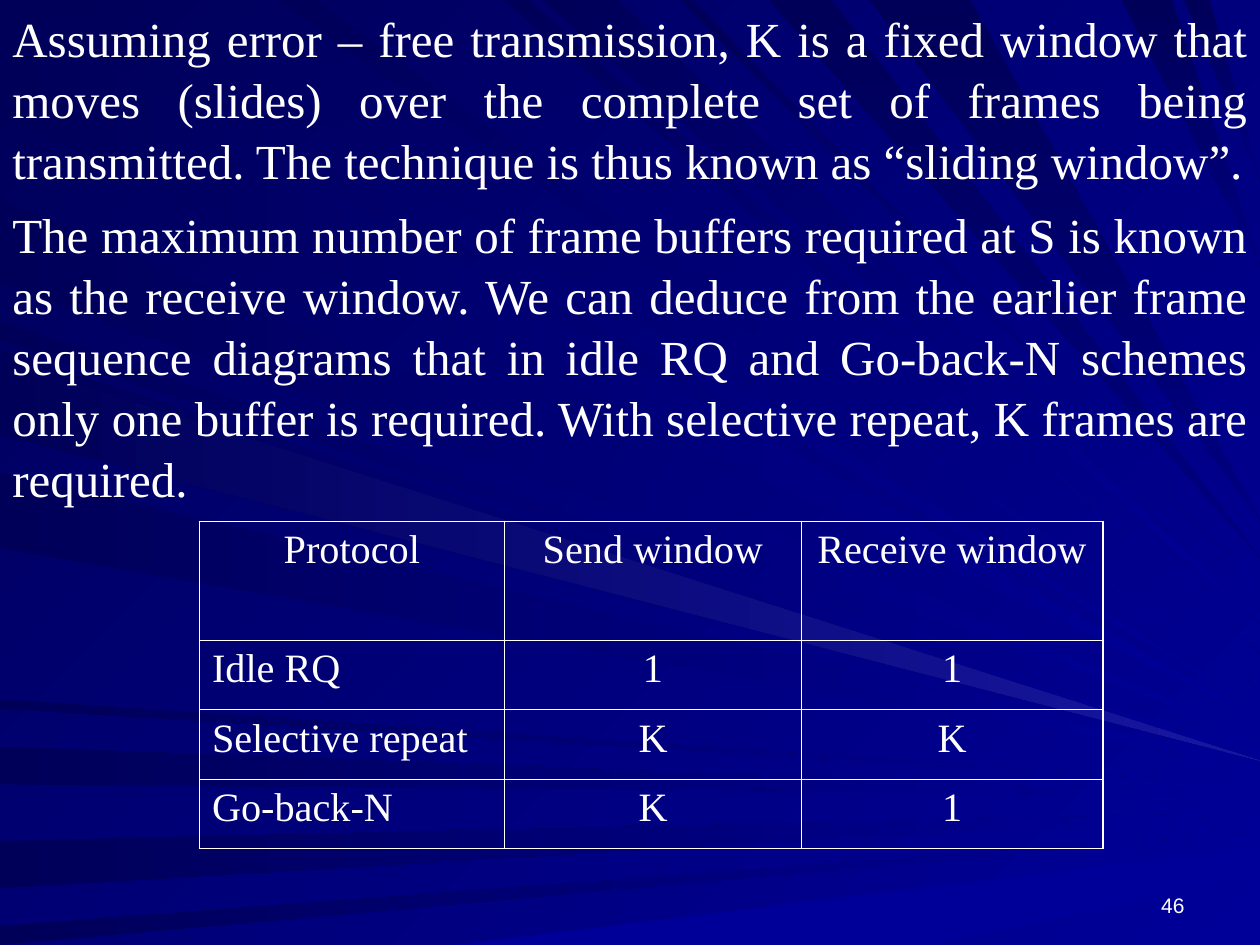
from lxml import etree
from pptx import Presentation
from pptx.dml.color import RGBColor
from pptx.enum.text import MSO_ANCHOR as Anchor, PP_ALIGN as Align
from pptx.oxml.ns import qn
from pptx.util import Cm, Pt

WHITE = RGBColor(0xFF, 0xFF, 0xFF)
NIGHT = RGBColor(0x00, 0x00, 0x58)
NAVY = RGBColor(0x00, 0x00, 0x80)
ROYAL = RGBColor(0x00, 0x00, 0x99)
GLEAM = RGBColor(0x17, 0x17, 0xA2)

SERIF = "Times New Roman"

# Each ray: where it starts and ends on its edge, and the height of its tip
# on the right edge, all as percentages of the slide's width or height.
LEFT_RAYS = [
    (0, 12, 76), (79, 83, 84), (89, 94, 86), (98, 100, 88), (34, 36, 79),
    (21, 30, 78), (37, 46, 80), (50, 58, 81), (74, 75, 83),
]
TOP_RAYS = [(3, 10, 75), (22, 25, 73), (40, 42, 69), (43, 49, 66), (54, 55, 62)]
CORNER_RAYS = [(61, 66, 59), (69, 77, 55), (89, 93, 28), (94, 96, 19)]
GLEAMING_RAYS = [(38, 46, 80.5)]
FLOOR_RAY = [(36, 100), (74, 100), (100, 92.5), (100, 89.6)]

PARAGRAPHS = [
    "Assuming error – free transmission, K is a fixed window that moves (slides) over the "
    "complete set of frames being transmitted. The technique is thus known as “sliding window”.",
    "The maximum number of frame buffers required at S is known as the receive window. We can "
    "deduce from the earlier frame sequence diagrams that in idle RQ and Go-back-N schemes only "
    "one buffer is required. With selective repeat, K frames are required.",
]
PROTOCOLS = [
    ("Protocol", "Send window", "Receive window"),
    ("Idle RQ", "1", "1"),
    ("Selective repeat", "K", "K"),
    ("Go-back-N", "K", "1"),
]


def write(paragraph, text, name, size, alignment):
    paragraph.text = text
    paragraph.alignment = alignment
    for attribute, value in {"name": name, "size": Pt(size)}.items():
        setattr(paragraph.font, attribute, value)
    paragraph.font.color.rgb = WHITE


def fill_gradient(fill, start, end, angle):
    """Fill from start to end; the angle runs clockwise."""
    fill.gradient()
    fill.gradient_angle = -angle % 360
    for stop, colour in zip(fill.gradient_stops, (start, end)):
        stop.color.rgb = colour


def add_ray(slide, corners, width, height, colours, angle):
    """Draw a polygon whose corners are percentages of the given box."""
    points = [(round(width * x / 100), round(height * y / 100)) for x, y in corners]
    builder = slide.shapes.build_freeform(*points[0])
    builder.add_line_segments(points[1:], close=True)
    ray = builder.convert_to_shape()
    ray.shadow.inherit = False
    ray.line.fill.background()
    fill_gradient(ray.fill, *colours, angle)


def add_background(slide, width, height):
    fill_gradient(slide.background.fill, NIGHT, ROYAL, 45)
    add_ray(slide, FLOOR_RAY, width, height, (ROYAL, ROYAL), 0)
    for rays, end_colour, from_left, angle in (
        (LEFT_RAYS, ROYAL, True, 0),
        (TOP_RAYS, ROYAL, False, 45),
        (CORNER_RAYS, NAVY, False, 90),
        (GLEAMING_RAYS, GLEAM, True, 0),
    ):
        for start, end, tip in rays:
            base = [(0, start), (0, end)] if from_left else [(start, 0), (end, 0)]
            add_ray(slide, base + [(100, tip)], width, height, (NIGHT, end_colour), angle)


def add_page_number(slide, left, top, width, height):
    frame = slide.shapes.add_textbox(left, top, width, height).text_frame
    for attribute, value in {"word_wrap": True, "vertical_anchor": Anchor.BOTTOM}.items():
        setattr(frame, attribute, value)
    write(frame.paragraphs[0], "46", "Arial", 12, Align.RIGHT)


def add_explanation(slide, left, top, width, height):
    frame = slide.shapes.add_textbox(left, top, width, height).text_frame
    frame.word_wrap = True
    for index, text in enumerate(PARAGRAPHS):
        paragraph = frame.add_paragraph() if index else frame.paragraphs[0]
        write(paragraph, text, SERIF, 28, Align.JUSTIFY)
        paragraph.line_spacing = 1.04
        if index:
            paragraph.space_before = Pt(7)


def set_borders(cell, widths):
    """Draw white borders; widths maps lnL, lnR, lnT and lnB to points."""
    properties = cell._tc.get_or_add_tcPr()
    for position, (side, width) in enumerate(widths.items()):
        border = etree.Element(qn(f"a:{side}"), w=str(Pt(width)))
        solid = etree.SubElement(border, qn("a:solidFill"))
        etree.SubElement(solid, qn("a:srgbClr"), val=str(WHITE))
        properties.insert(position, border)


def add_protocol_table(slide, left, top, width, height):
    last_row, last_column = len(PROTOCOLS) - 1, len(PROTOCOLS[0]) - 1
    table = slide.shapes.add_table(
        last_row + 1, last_column + 1, left, top, width, height).table
    for flag in ("first_row", "horz_banding"):
        setattr(table, flag, False)
    for column, column_width in zip(table.columns, (6.15, 5.99, 6.07)):
        column.width = Cm(column_width)
    body_height = Cm(1.4)
    for row in table.rows:
        row.height = body_height
    table.rows[0].height = height - last_row * body_height

    outer, inner = 1.08, 0.45
    for r, texts in enumerate(PROTOCOLS):
        for c, text in enumerate(texts):
            cell = table.cell(r, c)
            cell.fill.background()
            is_label = r > 0 and c == 0
            write(cell.text_frame.paragraphs[0], text, SERIF, 23,
                  Align.LEFT if is_label else Align.CENTER)
            set_borders(cell, {
                "lnL": outer if c == 0 else inner,
                "lnR": outer if c == last_column else inner,
                "lnT": outer if r == 0 else inner,
                "lnB": outer if r == last_row else inner,
            })


def main():
    deck = Presentation()
    deck.slide_width, deck.slide_height = Cm(25.4), Cm(19.05)
    slide = deck.slides.add_slide(deck.slide_layouts[6])
    add_background(slide, deck.slide_width, deck.slide_height)
    add_page_number(slide, Cm(18.2), Cm(17.35), Cm(5.93), Cm(1.27))
    add_explanation(slide, Cm(0), Cm(0), Cm(25.4), Cm(11.43))
    add_protocol_table(slide, Cm(4.02), Cm(10.51), Cm(18.21), Cm(6.6))
    deck.save("out.pptx")


if __name__ == "__main__":
    main()
